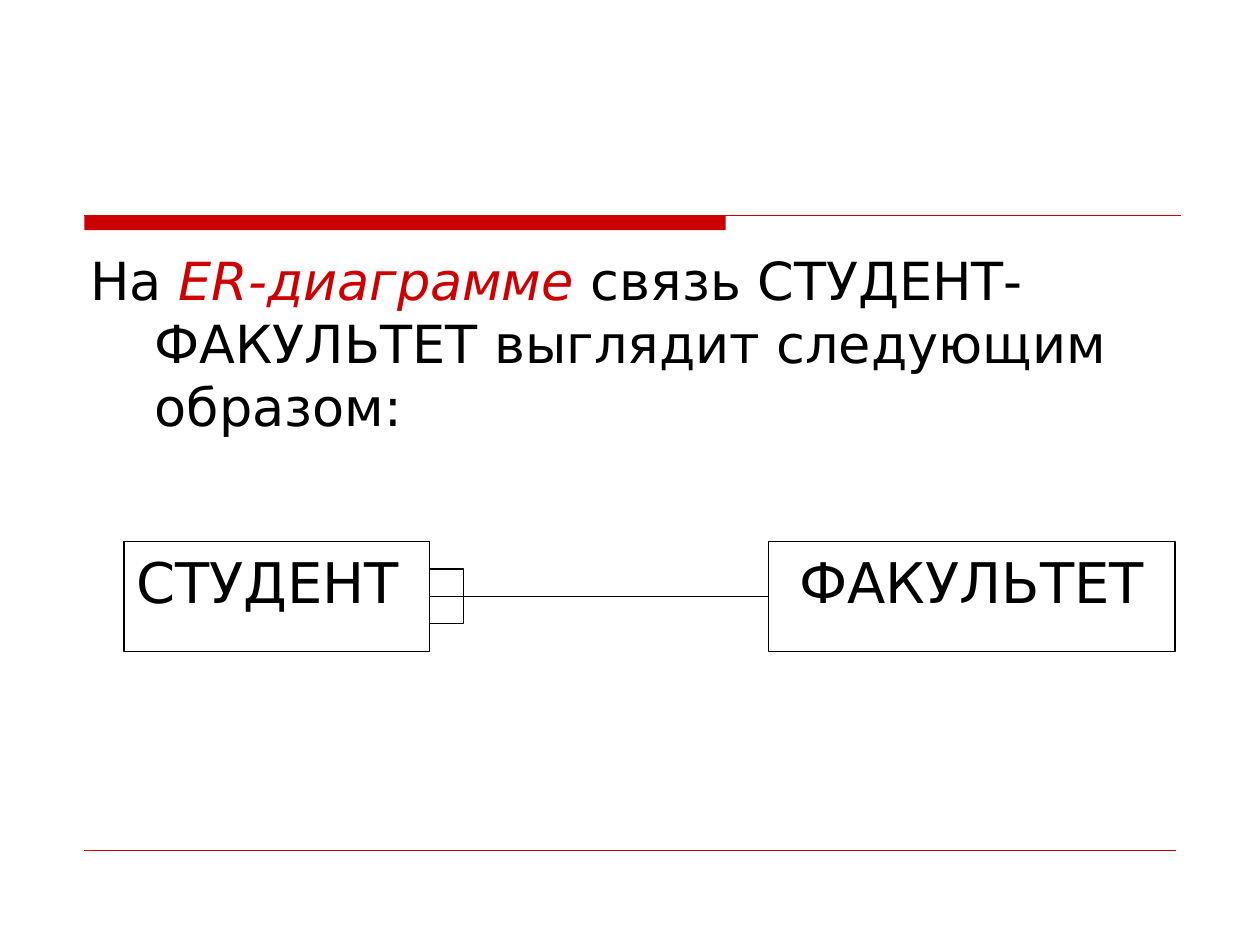
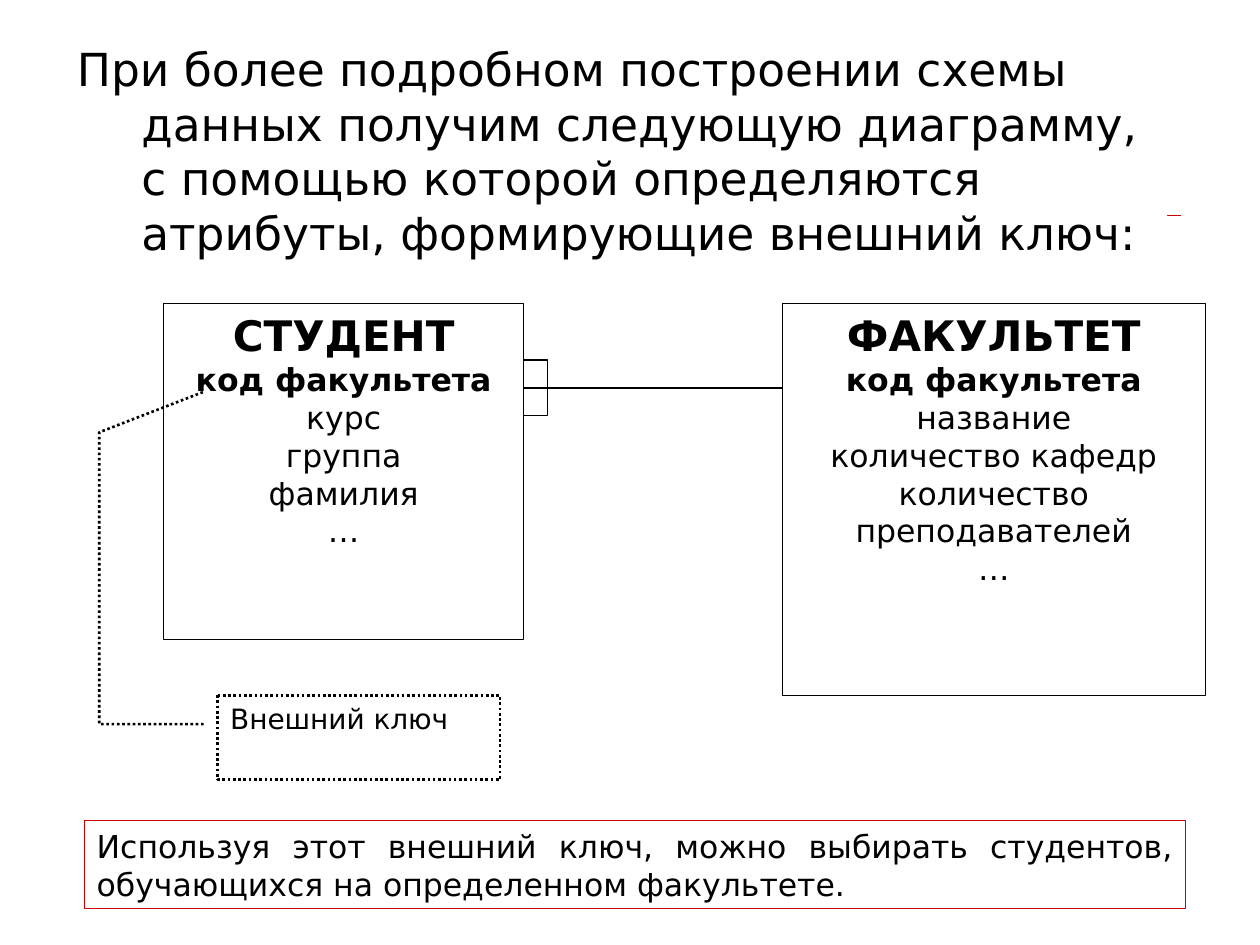
from dataclasses import dataclass

from lxml.etree import SubElement
from pptx import Presentation
from pptx.dml.color import RGBColor
from pptx.enum.dml import MSO_LINE
from pptx.enum.shapes import MSO_CONNECTOR, MSO_SHAPE
from pptx.enum.text import MSO_ANCHOR, PP_ALIGN
from pptx.oxml.ns import qn
from pptx.shapes.autoshape import Shape
from pptx.slide import Slide
from pptx.util import Cm, Pt

RED = RGBColor(0xCC, 0x00, 0x00)
BLACK = RGBColor(0x00, 0x00, 0x00)
WHITE = RGBColor(0xFF, 0xFF, 0xFF)
FONT = "DejaVu Sans"
LEFT_MARGIN = 1.7
HEADER_TOP = 4.34
HANGING_INDENT = 1.3


@dataclass(frozen=True)
class Span:
    text: str
    size: float
    color: RGBColor = BLACK
    bold: bool = False
    italic: bool = False


@dataclass(frozen=True)
class Area:
    left: float
    top: float
    width: float
    height: float

    @property
    def right(self) -> float:
        return self.left + self.width


@dataclass(frozen=True)
class Entity:
    area: Area
    paragraphs: list[list[Span]]
    align: PP_ALIGN = PP_ALIGN.CENTER


@dataclass(frozen=True)
class Relationship:
    student: Entity
    faculty: Entity
    middle: float
    end_width: float
    end_height: float


def write_text(
    box: Shape,
    paragraphs: list[list[Span]],
    *,
    align: PP_ALIGN = PP_ALIGN.LEFT,
    anchor: MSO_ANCHOR = MSO_ANCHOR.TOP,
    hanging: float = 0,
) -> None:
    frame = box.text_frame
    frame.word_wrap = True
    frame.vertical_anchor = anchor
    for index, spans in enumerate(paragraphs):
        para = frame.add_paragraph() if index else frame.paragraphs[0]
        para.alignment = align
        if hanging:
            properties = para._p.get_or_add_pPr()
            properties.set("marL", str(Cm(hanging)))
            properties.set("indent", str(-Cm(hanging)))
        for span in spans:
            run = para.add_run()
            run.text = span.text
            run.font.name = FONT
            run.font.size = Pt(span.size)
            run.font.color.rgb = span.color
            run.font.bold = span.bold
            run.font.italic = span.italic


def add_box(
    page: Slide,
    area: Area,
    *,
    kind: MSO_SHAPE = MSO_SHAPE.RECTANGLE,
    fill: RGBColor | None = WHITE,
    line: RGBColor | None = BLACK,
    weight: float = 0.75,
) -> Shape:
    box = page.shapes.add_shape(
        kind, Cm(area.left), Cm(area.top), Cm(area.width), Cm(area.height)
    )
    box.shadow.inherit = False
    if fill is None:
        box.fill.background()
    else:
        box.fill.solid()
        box.fill.fore_color.rgb = fill
    if line is None:
        box.line.fill.background()
    else:
        box.line.color.rgb = line
        box.line.width = Pt(weight)
    return box


def add_rule(
    page: Slide, left: float, right: float, top: float, color: RGBColor, weight: float = 0.75
) -> None:
    rule = page.shapes.add_connector(
        MSO_CONNECTOR.STRAIGHT, Cm(left), Cm(top), Cm(right), Cm(top)
    )
    rule.line.color.rgb = color
    rule.line.width = Pt(weight)
    SubElement(rule._element.spPr, qn("a:effectLst"))


def add_page(deck: Presentation) -> Slide:
    page = deck.slides.add_slide(deck.slide_layouts[6])
    add_rule(page, LEFT_MARGIN, 23.8, HEADER_TOP, RED)
    return page


def add_lead(page: Slide, area: Area, spans: list[Span], fill: RGBColor | None = None) -> None:
    box = add_box(page, area, fill=fill, line=None)
    write_text(box, [spans], hanging=HANGING_INDENT)


def add_relationship(page: Slide, relation: Relationship) -> None:
    for entity in (relation.student, relation.faculty):
        box = add_box(page, entity.area)
        write_text(box, entity.paragraphs, align=entity.align)
    start = relation.student.area.right
    add_rule(page, start, relation.faculty.area.left, relation.middle, BLACK)
    many_end = Area(
        start,
        relation.middle - relation.end_height / 2,
        relation.end_width,
        relation.end_height,
    )
    add_box(page, many_end, fill=None)


def entity_lines(name: str, key: str, attributes: list[str]) -> list[list[Span]]:
    heading = [[Span(name, 24, bold=True)], [Span(key, 18, bold=True)]]
    return heading + [[Span(attribute, 18)] for attribute in attributes]


def build_overview(deck: Presentation) -> None:
    page = add_page(deck)
    add_box(page, Area(LEFT_MARGIN, HEADER_TOP, 12.93, 0.3), fill=RED, line=None)
    add_rule(page, LEFT_MARGIN, 23.7, 17.15, RED, 0.25)
    add_lead(
        page,
        Area(1.57, 4.88, 22.23, 4.85),
        [
            Span("На ", 30),
            Span("ER-диаграмме", 30, RED, italic=True),
            Span(" связь СТУДЕНТ-ФАКУЛЬТЕТ выглядит следующим образом:", 30),
        ],
    )
    student = Entity(Area(2.5, 10.92, 6.16, 2.21), [[Span("СТУДЕНТ", 32)]], PP_ALIGN.LEFT)
    faculty = Entity(Area(15.49, 10.92, 8.2, 2.21), [[Span("ФАКУЛЬТЕТ", 32)]])
    add_relationship(page, Relationship(student, faculty, 12.02, 0.69, 1.1))


def add_foreign_key(page: Slide) -> None:
    callout = add_box(
        page, Area(4.39, 14.02, 5.69, 1.7), kind=MSO_SHAPE.LINE_CALLOUT_3, weight=1.5
    )
    callout.line.dash_style = MSO_LINE.ROUND_DOT
    leader = [0.34, -0.05, 0.34, -0.42, -3.12, -0.42, -3.6, -0.05]
    for index, value in enumerate(leader):
        callout.adjustments[index] = value
    write_text(callout, [[Span("Внешний ключ", 16)]])


def build_details(deck: Presentation) -> None:
    page = add_page(deck)
    add_lead(
        page,
        Area(1.3, 0.71, 22.23, 5.21),
        [
            Span(
                "При более подробном построении схемы данных получим следующую "
                "диаграмму, с помощью которой определяются атрибуты, "
                "формирующие внешний ключ:",
                26,
            )
        ],
        fill=WHITE,
    )
    key = "код факультета"
    student = Entity(
        Area(3.3, 6.12, 7.26, 6.78),
        entity_lines("СТУДЕНТ", key, ["курс", "группа", "фамилия", "…"]),
    )
    faculty = Entity(
        Area(15.77, 6.12, 8.53, 7.9),
        entity_lines(
            "ФАКУЛЬТЕТ",
            key,
            ["название", "количество кафедр", "количество преподавателей", "…"],
        ),
    )
    add_relationship(page, Relationship(student, faculty, 7.82, 0.48, 1.12))
    add_foreign_key(page)
    note = add_box(page, Area(LEFT_MARGIN, 16.54, 22.2, 1.78), line=RED)
    write_text(
        note,
        [
            [
                Span(
                    "Используя этот внешний ключ, можно выбирать студентов, "
                    "обучающихся на определенном факультете.",
                    18,
                )
            ]
        ],
        align=PP_ALIGN.JUSTIFY,
        anchor=MSO_ANCHOR.MIDDLE,
    )


def main() -> None:
    deck = Presentation()
    deck.slide_width = Cm(25.4)
    deck.slide_height = Cm(19.05)
    build_overview(deck)
    build_details(deck)
    deck.save("out.pptx")


if __name__ == "__main__":
    main()
